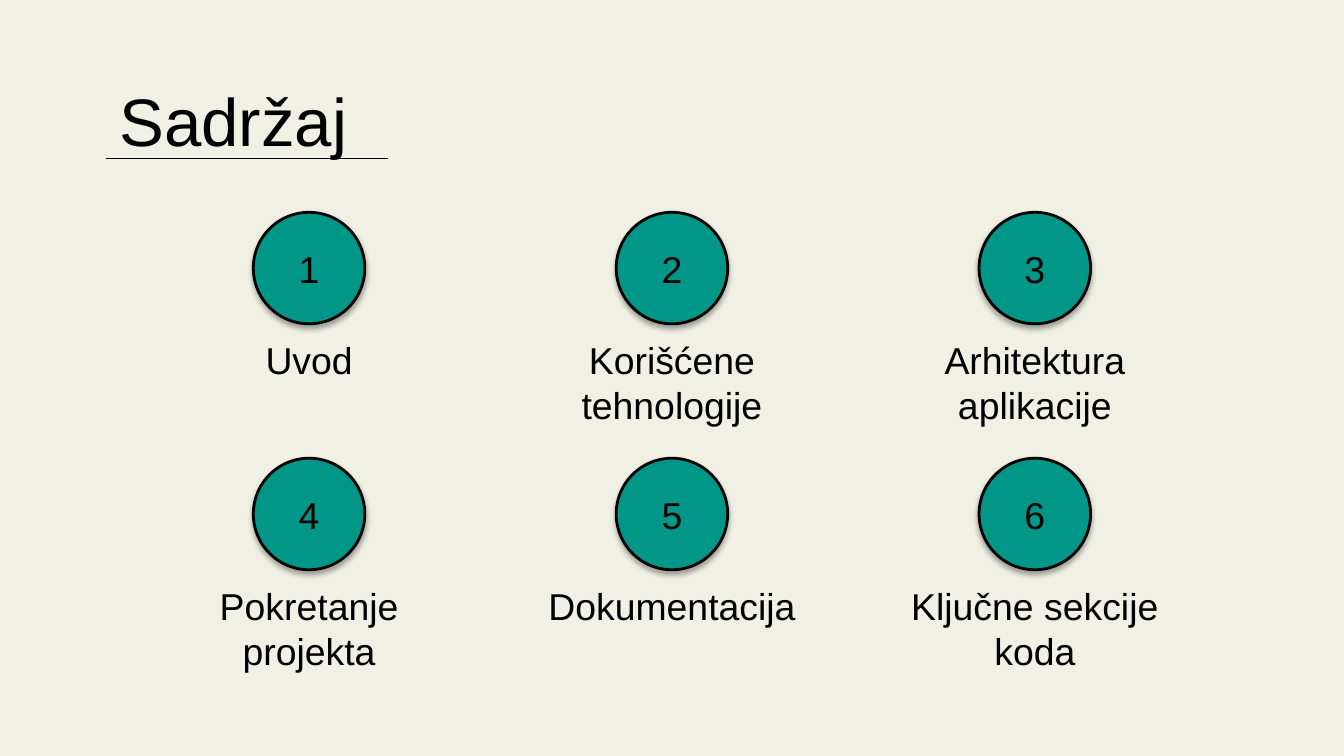
from lxml.etree import SubElement
from pptx import Presentation
from pptx.dml.color import RGBColor
from pptx.enum.shapes import MSO_CONNECTOR as Connector, MSO_SHAPE as Shape
from pptx.enum.text import MSO_ANCHOR as Anchor, PP_ALIGN as Align
from pptx.oxml.ns import qn
from pptx.util import Inches, Pt

COLORS = {"paper": "F0F1E4", "teal": "009688", "ink": "000000"}
TOPICS = [
    "Uvod", "Korišćene tehnologije", "Arhitektura aplikacije",
    "Pokretanje projekta", "Dokumentacija", "Ključne sekcije koda",
]
SLIDE_WIDTH = 10
SLIDE_HEIGHT = SLIDE_WIDTH * 9 / 16
COLUMNS = 3
FIRST_CENTER, COLUMN_STEP = 2.3, 2.7
FIRST_TOP, ROW_STEP = 1.58, 1.83
BADGE, NUMBER_HEIGHT = 0.83, 0.4
LABEL_WIDTH, LABEL_HEIGHT = 2.52, 0.7


def color(name):
    return RGBColor.from_string(COLORS[name])


def box(*lengths):
    return [Inches(length) for length in lengths]


def cell(index):
    """Return the centre x and the top y of a topic's grid cell."""
    row, column = divmod(index, COLUMNS)
    return FIRST_CENTER + column * COLUMN_STEP, FIRST_TOP + row * ROW_STEP


def add_soft_shadow(shape):
    shape.shadow.inherit = False
    effects = shape._element.spPr.find(qn("a:effectLst"))
    shadow = SubElement(effects, qn("a:outerShdw"), blurRad=str(Pt(3.1)),
                        dist=str(Pt(1.8)), dir="5400000", rotWithShape="0")
    ink = SubElement(shadow, qn("a:srgbClr"), val=COLORS["ink"])
    SubElement(ink, qn("a:alpha"), val="35000")


def add_badge(slide, center, top):
    badge = slide.shapes.add_shape(
        Shape.ROUNDED_RECTANGLE, *box(center - BADGE / 2, top, BADGE, BADGE))
    badge.adjustments[0] = 0.5
    badge.fill.solid()
    badge.fill.fore_color.rgb = color("teal")
    badge.line.color.rgb = color("ink")
    badge.line.width = Pt(1.5)
    add_soft_shadow(badge)


def add_text(slide, text, bounds, size=20, align=Align.CENTER, anchor=Anchor.TOP):
    frame = slide.shapes.add_textbox(*box(*bounds)).text_frame
    frame_format = {"word_wrap": True, "vertical_anchor": anchor}
    for side in ("left", "right", "top", "bottom"):
        frame_format[f"margin_{side}"] = Inches(0.1)
    for name, value in frame_format.items():
        setattr(frame, name, value)
    paragraph = frame.paragraphs[0]
    paragraph.alignment = align
    run = paragraph.add_run()
    run.text = text
    for name, value in {"name": "Arial", "size": Pt(size)}.items():
        setattr(run.font, name, value)
    run.font.color.rgb = color("ink")


def add_rule(slide, start, end, y):
    rule = slide.shapes.add_connector(Connector.STRAIGHT, *box(start, y, end, y))
    rule.line.color.rgb = color("ink")
    rule.line.width = Pt(0.75)
    SubElement(rule._element.spPr, qn("a:effectLst"))


def main():
    deck = Presentation()
    deck.slide_width, deck.slide_height = box(SLIDE_WIDTH, SLIDE_HEIGHT)
    slide = deck.slides.add_slide(deck.slide_layouts[6])
    slide.background.fill.solid()
    slide.background.fill.fore_color.rgb = color("paper")

    cells = [cell(index) for index in range(len(TOPICS))]
    for center, top in cells:
        add_badge(slide, center, top)
    add_text(slide, "Sadržaj", (0.79, 0.49, 4.22, 0.63), 36, Align.LEFT)
    for number, (center, top) in enumerate(cells, 1):
        number_top = top + (BADGE - NUMBER_HEIGHT) / 2
        add_text(slide, str(number),
                 (center - BADGE / 2, number_top, BADGE, NUMBER_HEIGHT),
                 anchor=Anchor.MIDDLE)
    for topic, (center, top) in zip(TOPICS, cells):
        add_text(slide, topic,
                 (center - LABEL_WIDTH / 2, top + BADGE, LABEL_WIDTH, LABEL_HEIGHT))
    add_rule(slide, 2.89, 0.79, 1.18)
    deck.save("out.pptx")


if __name__ == "__main__":
    main()
